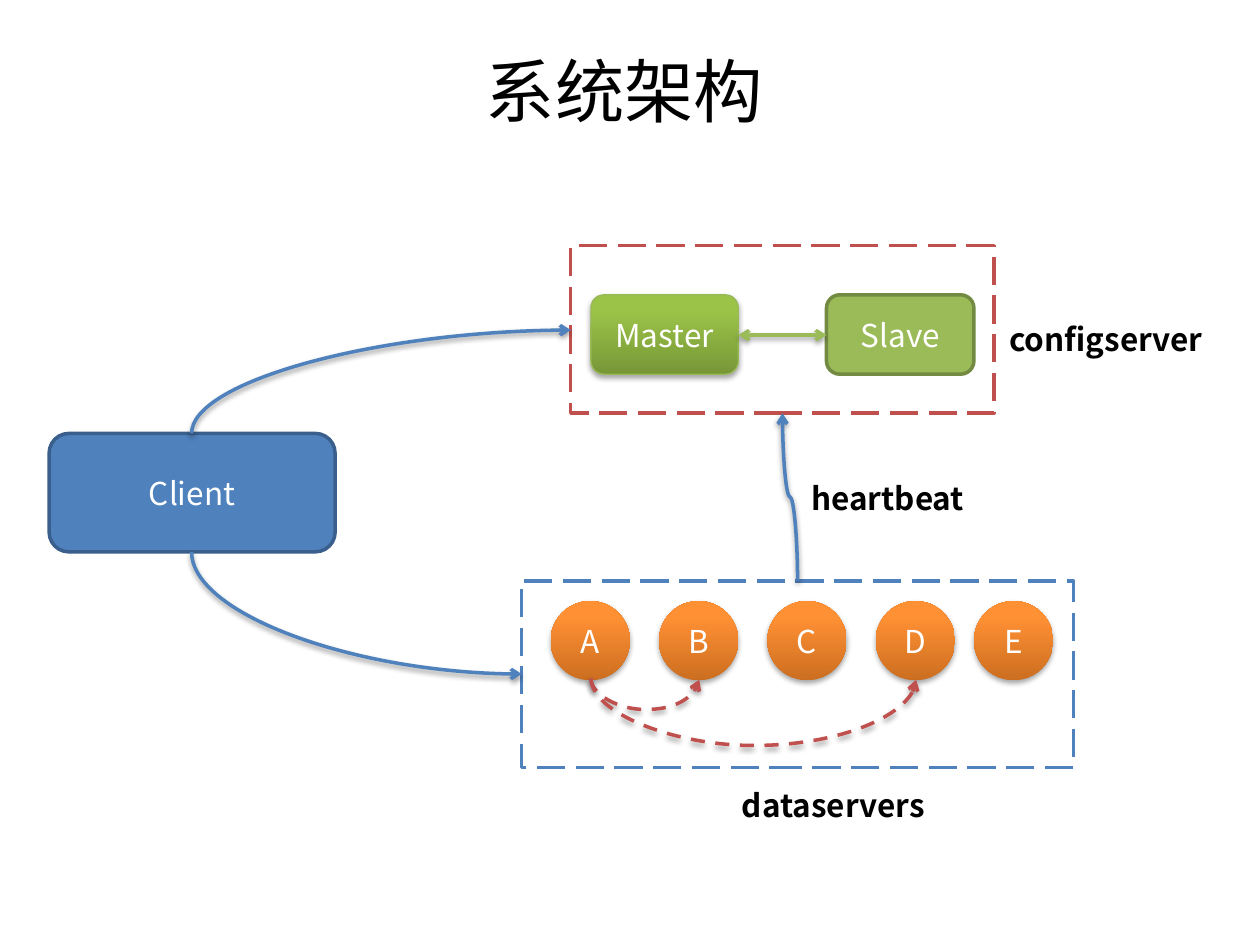
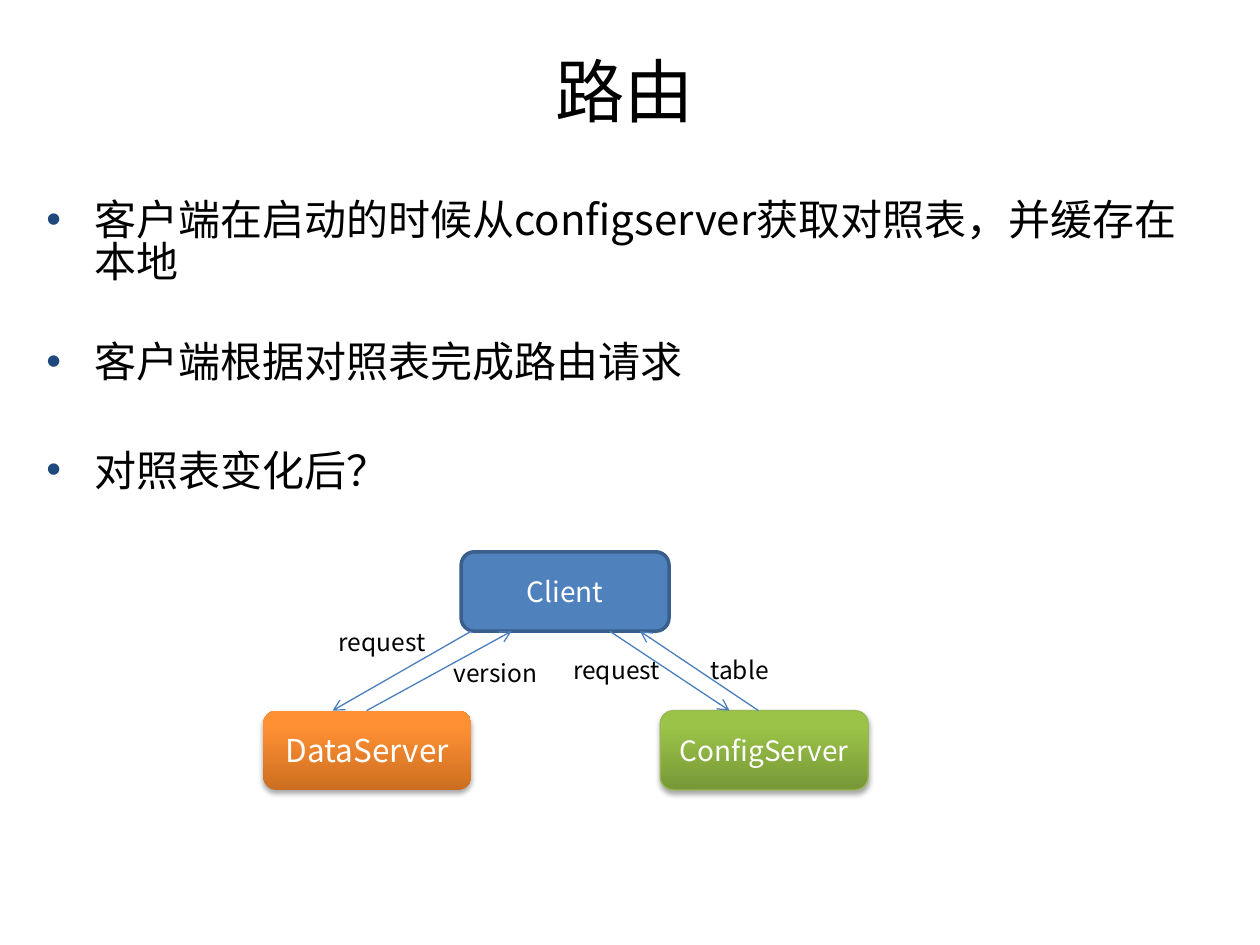
from lxml.etree import SubElement
from pptx import Presentation
from pptx.dml.color import RGBColor
from pptx.enum.dml import MSO_LINE
from pptx.enum.shapes import MSO_CONNECTOR, MSO_SHAPE
from pptx.enum.text import MSO_ANCHOR, MSO_AUTO_SIZE, PP_ALIGN
from pptx.oxml.ns import qn
from pptx.util import Inches, Pt

FONT = "Noto Sans CJK SC"
BLACK, WHITE = "000000", "FFFFFF"
BLUE, DARK_BLUE, ARROW_BLUE, BULLET_BLUE = "4F81BD", "3A5F8C", "4B7EBC", "1F497D"
RED, GREEN, DARK_GREEN, EDGE_GREEN = "C0504D", "9BBB59", "738A42", "98B955"
ORANGE_FADE = ("CC6E20", "FF9034")
GREEN_FADE = ("779737", "9BC348")
SHAPE_SHADOW = (35, 1.8)
LINE_SHADOW = (38, 1.6)


def color(hex_code):
    return RGBColor.from_string(hex_code)


def add_child(parent, tag, **attributes):
    return SubElement(parent, qn(tag), {key: str(value) for key, value in attributes.items()})


def add_run(paragraph, text, size, hex_code=BLACK, bold=False):
    run = paragraph.add_run()
    run.text = text
    run.font.name = FONT
    run.font.size = Pt(size)
    run.font.bold = bold
    run.font.color.rgb = color(hex_code)
    add_child(run.font._element, "a:ea", typeface=FONT)


def add_shadow(effects, opacity, distance):
    shadow = add_child(effects, "a:outerShdw", blurRad=Pt(3.1), dist=Pt(distance),
                       dir=90 * 60000, rotWithShape=0)
    shadow_color = add_child(shadow, "a:srgbClr", val=BLACK)
    add_child(shadow_color, "a:alpha", val=opacity * 1000)


def add_box(slide, kind, box, fill, edge=None, edge_width=2, dash=None):
    shape = slide.shapes.add_shape(kind, *map(Inches, box))
    shape.shadow.inherit = False
    if isinstance(fill, tuple):
        shape.fill.gradient()
        shape.fill.gradient_angle = 90
        for stop, hex_code, position in zip(shape.fill.gradient_stops, fill, (0, 0.8)):
            stop.color.rgb = color(hex_code)
            stop.position = position
        add_shadow(shape._element.spPr.find(qn("a:effectLst")), *SHAPE_SHADOW)
    else:
        shape.fill.solid()
        shape.fill.fore_color.rgb = color(fill)
    if edge:
        shape.line.color.rgb = color(edge)
        shape.line.width = Pt(edge_width)
        if dash:
            shape.line.dash_style = dash
    else:
        shape.line.fill.background()
    return shape


def add_node(slide, text, box, fill, edge=None, edge_width=2, size=18,
             kind=MSO_SHAPE.ROUNDED_RECTANGLE):
    frame = add_box(slide, kind, box, fill, edge, edge_width).text_frame
    frame.vertical_anchor = MSO_ANCHOR.MIDDLE
    frame.paragraphs[0].alignment = PP_ALIGN.CENTER
    add_run(frame.paragraphs[0], text, size, WHITE)


def add_title(slide, text):
    frame = slide.shapes.add_textbox(*map(Inches, (0.83, 0.44, 8.25, 0.55))).text_frame
    frame.word_wrap = True
    frame.vertical_anchor = MSO_ANCHOR.MIDDLE
    frame.paragraphs[0].alignment = PP_ALIGN.CENTER
    add_run(frame.paragraphs[0], text, 39.6)


def add_label(slide, text, box, size, bold=False):
    frame = slide.shapes.add_textbox(*map(Inches, box)).text_frame
    frame.word_wrap = False
    frame.auto_size = MSO_AUTO_SIZE.SHAPE_TO_FIT_TEXT
    add_run(frame.paragraphs[0], text, size, bold=bold)


def add_bullets(slide, box, bullets):
    frame = slide.shapes.add_textbox(*map(Inches, box)).text_frame
    frame.word_wrap = True
    for index, (text, gap) in enumerate(bullets):
        paragraph = frame.add_paragraph() if index else frame.paragraphs[0]
        paragraph.line_spacing = 0.84
        paragraph.space_before = Pt(gap)
        properties = paragraph._element.get_or_add_pPr()
        properties.set("marL", str(Inches(0.38)))
        properties.set("indent", str(Inches(-0.38)))
        bullet_color = add_child(properties, "a:buClr")
        add_child(bullet_color, "a:srgbClr", val=BULLET_BLUE)
        add_child(properties, "a:buFont", typeface="Arial")
        add_child(properties, "a:buChar", char="•")
        add_run(paragraph, text, 24)


def style_line(connector, hex_code, width, dash=None, both_ends=False, shadow=None):
    connector.line.color.rgb = color(hex_code)
    connector.line.width = Pt(width)
    if dash:
        connector.line.dash_style = dash
    properties = connector._element.spPr
    line = properties.find(qn("a:ln"))
    if both_ends:
        add_child(line, "a:headEnd", type="arrow")
    add_child(line, "a:tailEnd", type="arrow")
    effects = add_child(properties, "a:effectLst")
    if shadow:
        add_shadow(effects, *shadow)


def add_arrow(slide, start, end, hex_code=ARROW_BLUE, width=0.75, **style):
    connector = slide.shapes.add_connector(MSO_CONNECTOR.STRAIGHT, *map(Inches, start + end))
    style_line(connector, hex_code, width, **style)


def add_curve(slide, start, end, hex_code, preset, rotation, flips, bend=None, dash=None):
    length = max(abs(end[1] - start[1]), 0.01)
    breadth = abs(end[0] - start[0])
    left = (start[0] + end[0] - length) / 2
    top = (start[1] + end[1] - breadth) / 2
    corners = (left, top, left + length, top + breadth)
    connector = slide.shapes.add_connector(MSO_CONNECTOR.CURVE, *map(Inches, corners))
    transform = connector._element.spPr.find(qn("a:xfrm"))
    transform.set("rot", str(rotation * 60000))
    for flip in flips:
        transform.set("flip" + flip, "1")
    geometry = connector._element.spPr.find(qn("a:prstGeom"))
    geometry.set("prst", preset)
    if bend:
        adjustments = geometry.find(qn("a:avLst"))
        add_child(adjustments, "a:gd", name="adj1", fmla=f"val {round(bend / length * 100000)}")
    style_line(connector, hex_code, 2, dash, shadow=LINE_SHADOW)


def build_architecture(slide):
    add_box(slide, MSO_SHAPE.RECTANGLE, (4.53, 1.95, 3.36, 1.33), WHITE, RED,
            dash=MSO_LINE.LONG_DASH)
    add_box(slide, MSO_SHAPE.RECTANGLE, (4.14, 4.61, 4.38, 1.48), WHITE, BLUE,
            dash=MSO_LINE.LONG_DASH)
    add_node(slide, "Client", (0.39, 3.44, 2.27, 0.94), BLUE, DARK_BLUE)
    for name, left in zip("ABCDE", (4.37, 5.23, 6.09, 6.95, 7.73)):
        add_node(slide, name, (left, 4.77, 0.63, 0.63), ORANGE_FADE, kind=MSO_SHAPE.OVAL)
    for replica_x, depth in ((5.55, 0.25), (7.27, 0.54)):
        add_curve(slide, (4.69, 5.39), (replica_x, 5.39), RED, "curvedConnector3",
                  270, "H", depth, MSO_LINE.DASH)
    add_curve(slide, (1.52, 4.38), (4.14, 5.35), BLUE, "curvedConnector2", 270, "H")
    add_curve(slide, (1.52, 3.44), (4.53, 2.62), BLUE, "curvedConnector2", 90, "HV")
    add_node(slide, "Master", (4.69, 2.34, 1.17, 0.63), GREEN_FADE, EDGE_GREEN, 0.75)
    add_node(slide, "Slave", (6.56, 2.34, 1.17, 0.63), GREEN, DARK_GREEN)
    add_arrow(slide, (5.86, 2.66), (6.56, 2.66), GREEN, 2, both_ends=True, shadow=LINE_SHADOW)
    add_curve(slide, (6.33, 4.61), (6.21, 3.28), BLUE, "curvedConnector3", 270, "V")
    for text, box in (
        ("configserver", (7.91, 2.49, 1.79, 0.4)),
        ("dataservers", (5.79, 6.19, 1.68, 0.4)),
        ("heartbeat", (6.34, 3.75, 1.44, 0.4)),
    ):
        add_label(slide, text, box, 18, bold=True)


def build_routing(slide):
    add_bullets(slide, (0.27, 1.55, 9.45, 5.75), (
        ("客户端在启动的时候从configserver获取对照表，并缓存在本地", 0),
        ("客户端根据对照表完成路由请求", 33),
        ("对照表变化后？", 37.7),
    ))
    add_node(slide, "ConfigServer", (5.24, 5.64, 1.65, 0.63), GREEN_FADE, EDGE_GREEN, 0.75, 16)
    add_node(slide, "DataServer", (2.09, 5.64, 1.65, 0.63), ORANGE_FADE)
    add_node(slide, "Client", (3.66, 4.38, 1.65, 0.63), BLUE, DARK_BLUE, size=16)
    client_bottom, server_top = 5.01, 5.64
    for client_x, server_x in ((3.74, 2.64), (4.84, 5.79)):
        add_arrow(slide, (client_x, client_bottom), (server_x, server_top))
    for server_x, client_x in ((2.91, 4.06), (6.02, 5.08)):
        add_arrow(slide, (server_x, server_top), (client_x, client_bottom))
    for text, left, top, width in (
        ("version", 3.5, 5.17, 0.88),
        ("request", 2.59, 4.93, 0.91),
        ("request", 4.45, 5.15, 0.91),
        ("table", 5.54, 5.15, 0.68),
    ):
        add_label(slide, text, (left, top, width, 0.34), 14)


def main():
    presentation = Presentation()
    presentation.slide_width = Inches(10)
    presentation.slide_height = Inches(7.5)
    for title, build in (("系统架构", build_architecture), ("路由", build_routing)):
        slide = presentation.slides.add_slide(presentation.slide_layouts[6])
        add_title(slide, title)
        build(slide)
    presentation.save("out.pptx")


if __name__ == "__main__":
    main()
